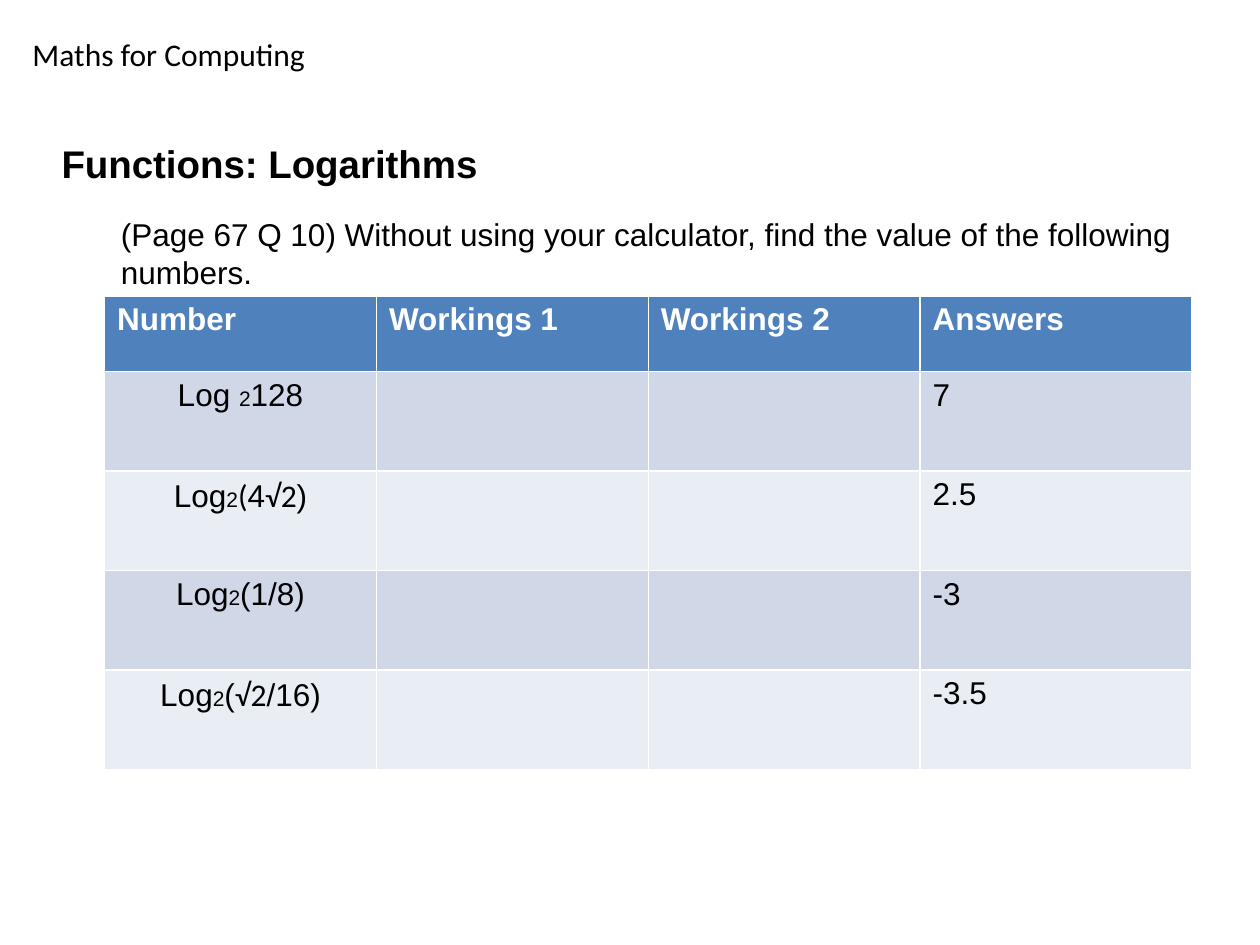
import pptx
import pptx.util
import pptx.dml.color
import pptx.enum.text

Pt = pptx.util.Pt
Inches = pptx.util.Inches
RGB = pptx.dml.color.RGBColor
Align = pptx.enum.text.PP_ALIGN

BLACK = RGB(0x00, 0x00, 0x00)
WHITE = RGB(0xFF, 0xFF, 0xFF)
BLUE = RGB(0x4F, 0x81, 0xBD)
BANDS = RGB(0xD0, 0xD8, 0xE8), RGB(0xE9, 0xED, 0xF4)

WIDE, HIGH = 10, 7.5
SUB = ("2", {"size": 12})


def math(text):
    return text, {"font": "Calibri"}


def write(par, text, size=18, font="Arial", color=BLACK, bold=False):
    """Add text to a paragraph: a string, or a list of strings and
    (string, format) pairs."""
    for part in [text] if isinstance(text, str) else text:
        words, own = (part, {}) if isinstance(part, str) else part
        run = par.add_run()
        run.text = words
        run.font.size = Pt(own.get("size", size))
        run.font.name = own.get("font", font)
        run.font.color.rgb = color
        run.font.bold = bold


class Page:
    """Holds the slide; lengths are shares of its width and height."""

    def __init__(self, deck):
        self.deck = deck
        self.slide = deck.slides.add_slide(deck.slide_layouts[6])

    def box(self, x, y, w, h):
        wide, high = self.deck.slide_width, self.deck.slide_height
        return [int(n) for n in (x * wide, y * high, w * wide, h * high)]

    def text(self, area, words, indent=0, before=0, top=0.05, **form):
        frame = self.slide.shapes.add_textbox(*self.box(*area)).text_frame
        frame.word_wrap = True
        frame.margin_top = Inches(top)
        par = frame.paragraphs[0]
        par.space_before = Pt(before)
        if indent:
            par._p.get_or_add_pPr().set("marL", str(Inches(indent)))
        write(par, words, **form)

    def table(self, area, heads, rows, head):
        place = self.box(*area)
        grid = self.slide.shapes.add_table(
            len(rows) + 1, len(heads), *place).table
        # Equal body rows share what the head row leaves
        grid.rows[0].height = int(head * self.deck.slide_height)
        rest = (place[3] - grid.rows[0].height) // len(rows)
        for r, row in enumerate([heads] + rows):
            if r:
                grid.rows[r].height = rest
            for c, words in enumerate(row):
                cell = grid.cell(r, c)
                cell.fill.solid()
                cell.fill.fore_color.rgb = BANDS[(r - 1) % 2] if r else BLUE
                par = cell.text_frame.paragraphs[0]
                if r and c == 0:
                    par.alignment = Align.CENTER
                if words:
                    write(par, words, bold=r == 0,
                          color=BLACK if r else WHITE)


deck = pptx.Presentation()
deck.slide_width, deck.slide_height = Inches(WIDE), Inches(HIGH)
page = Page(deck)

# Course name and heading
page.text((0.016, 0.03, 0.69, 0.05), "Maths for Computing", font="Calibri")
page.text((0.039, 0.136, 0.81, 0.06), "Functions: Logarithms",
          size=22, bold=True, top=0.09)

# Task
page.text((0.039, 0.221, 0.915, 0.75),
          "(Page 67 Q 10) Without using your calculator, "
          "find the value of the following numbers.",
          indent=0.47, before=4)

# Logarithms with their answers; the workings stay empty
tasks = [
    (["Log ", SUB, "128"], "7"),
    (["Log", SUB, math("("), "4", math("√2"), ")"], "2.5"),
    (["Log", SUB, "(1/8)"], "-3"),
    (["Log", SUB, "(", math("√2"), "/16)"], "-3.5"),
]
page.table((0.083, 0.313, 0.863, 0.501),
           ["Number", "Workings 1", "Workings 2", "Answers"],
           [[task, "", "", answer] for task, answer in tasks],
           head=0.08)

deck.save("out.pptx")
